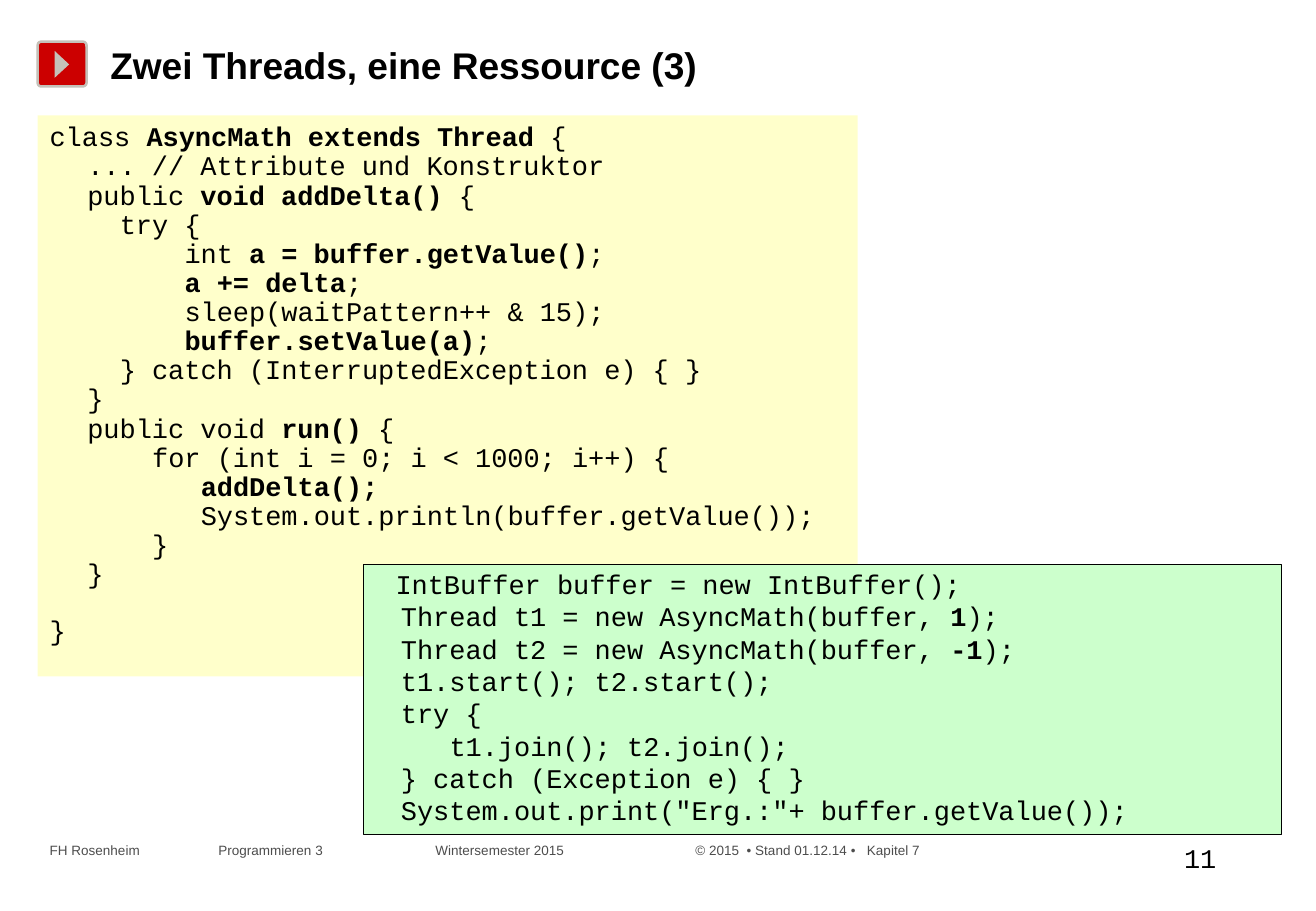
from pptx import Presentation
from pptx.dml.color import RGBColor
from pptx.enum import shapes, text
from pptx.oxml import parse_xml
from pptx.oxml.ns import nsdecls, qn
from pptx.util import Pt

TITLE = "Zwei Threads, eine Ressource (3)"
PAGE = "11"
FOOTER = ["FH Rosenheim", "Programmieren 3", "Wintersemester 2015",
          "© 2015  • Stand 01.12.14 •", "Kapitel 7"]
FOOTER_TABS = [100, 228.7, 382.8, 484.5]

# *…* marks bold; the first item is the indent in points
STEP, CHAR = 22.4, 9.6


def col(n):
    return STEP + n * CHAR


CLASS_CODE = [
    (0, "class *AsyncMath extends Thread* {"),
    (col(0), "... // Attribute und Konstruktor"),
    (col(0), "public *void addDelta()* {"),
    (col(2), "try {"),
    (col(6), "int *a = buffer.getValue()*;"),
    (col(6), "*a += delta*;"),
    (col(6), "sleep(waitPattern++ & 15);"),
    (col(6), "*buffer.setValue(a)*;"),
    (col(2), "} catch (InterruptedException e) { }"),
    (col(0), "}"),
    (col(0), "public void *run()* {"),
    (col(4), "for (int i = 0; i < 1000; i++) {"),
    (col(7), "*addDelta();*"),
    (col(7), "System.out.println(buffer.getValue());"),
    (col(4), "}"),
    (col(0), "}"),
    (0, "}"),
]
MAIN_CODE = [
    (2 * CHAR, "IntBuffer buffer = new IntBuffer();"),
    (col(0), "Thread t1 = new AsyncMath(buffer, *1*);"),
    (col(0), "Thread t2 = new AsyncMath(buffer, *-1*);"),
    (col(0), "t1.start(); t2.start();"),
    (col(0), "try {"),
    (col(3), "t1.join(); t2.join();"),
    (col(0), "} catch (Exception e) { }"),
    (col(0), 'System.out.print("Erg.:"+ buffer.getValue());'),
]
THEME = dict(sans="Arial", mono="Courier New", title=22, code=16, small=8,
             ink="000000", grey="4D4D4D", yellow="FFFF99", green="CCFFCC",
             red="CC0000", stone="C5C1B9")

prs = Presentation()
prs.slide_width, prs.slide_height = Pt(780), Pt(540)
s = prs.slides.add_slide(prs.slide_layouts[6])


def rgb(name):
    return RGBColor.from_string(THEME[name])


def paint(sp, fill, line=None, width=0):
    sp.shadow.inherit = False
    sp.fill.solid()
    sp.fill.fore_color.rgb = rgb(fill)
    if line:
        sp.line.color.rgb = rgb(line)
        sp.line.width = Pt(width)
    else:
        sp.line.fill.background()


def add_run(p, words, font, size, color="ink", bold=False):
    r = p.add_run()
    r.text = words
    r.font.name, r.font.size, r.font.bold = THEME[font], Pt(THEME[size]), bold
    r.font.color.rgb = rgb(color)


def label(box, words, *style, anchor=text.MSO_ANCHOR.TOP):
    sp = s.shapes.add_textbox(*map(Pt, box))
    tf = sp.text_frame
    tf.word_wrap = True
    tf.vertical_anchor = anchor
    add_run(tf.paragraphs[0], words, *style)
    return tf.paragraphs[0]


def code_box(box, lines, pitch, inset, fill, line=None):
    sp = s.shapes.add_shape(shapes.MSO_SHAPE.RECTANGLE, *map(Pt, box))
    paint(sp, fill, line, 0.75)
    tf = sp.text_frame
    tf.word_wrap = True
    tf.vertical_anchor = text.MSO_ANCHOR.TOP
    tf.margin_left = tf.margin_right = Pt(inset[0])
    tf.margin_top = tf.margin_bottom = Pt(inset[1])
    for i, (indent, words) in enumerate(lines):
        p = tf.add_paragraph() if i else tf.paragraphs[0]
        p.alignment = text.PP_ALIGN.LEFT
        p.line_spacing = Pt(pitch)
        p._p.get_or_add_pPr().set("marL", str(Pt(indent)))
        for k, part in enumerate(words.split("*")):
            if part:
                add_run(p, part, "mono", "code", bold=k % 2 == 1)
    return sp


icon = s.shapes.add_shape(shapes.MSO_SHAPE.ROUNDED_RECTANGLE, *map(Pt, (22.3, 24.7, 29, 26.6)))
icon.adjustments[0] = 0.08
paint(icon, "red", "stone", 1.5)
fb = s.shapes.build_freeform(Pt(41), Pt(38.2))
fb.add_line_segments([(Pt(32.4), Pt(30.2)), (Pt(32.4), Pt(46.1))], close=True)
paint(fb.convert_to_shape(), "stone")

label((58.3, 21.5, 450, 34), TITLE, "sans", "title", "ink", True,
      anchor=text.MSO_ANCHOR.MIDDLE)
label((694.8, 495.4, 67.7, 29.5), PAGE, "mono", "code")
p = label((22.3, 495.4, 739.4, 17.3), "\t".join(FOOTER), "sans", "small", "grey")
tabs = parse_xml(f'<a:tabLst {nsdecls("a")}/>')
for pos in FOOTER_TABS:
    tabs.append(parse_xml(f'<a:tab {nsdecls("a")} pos="{Pt(pos)}" algn="l"/>'))
p._p.get_or_add_pPr().append(tabs)

sp = code_box((22.3, 68.4, 486, 332.6), CLASS_CODE, 17.26, (7.2, 4.6), "yellow")
sp.text_frame.paragraphs[-1].space_before = Pt(16.2)
color = sp.fill._xPr.find(qn("a:solidFill"))[0]
color.append(parse_xml(f'<a:alpha {nsdecls("a")} val="50000"/>'))
code_box((215.3, 334.8, 544.3, 159.8), MAIN_CODE, 19.2, (0, 1.5), "green", "ink")

prs.save("out.pptx")
